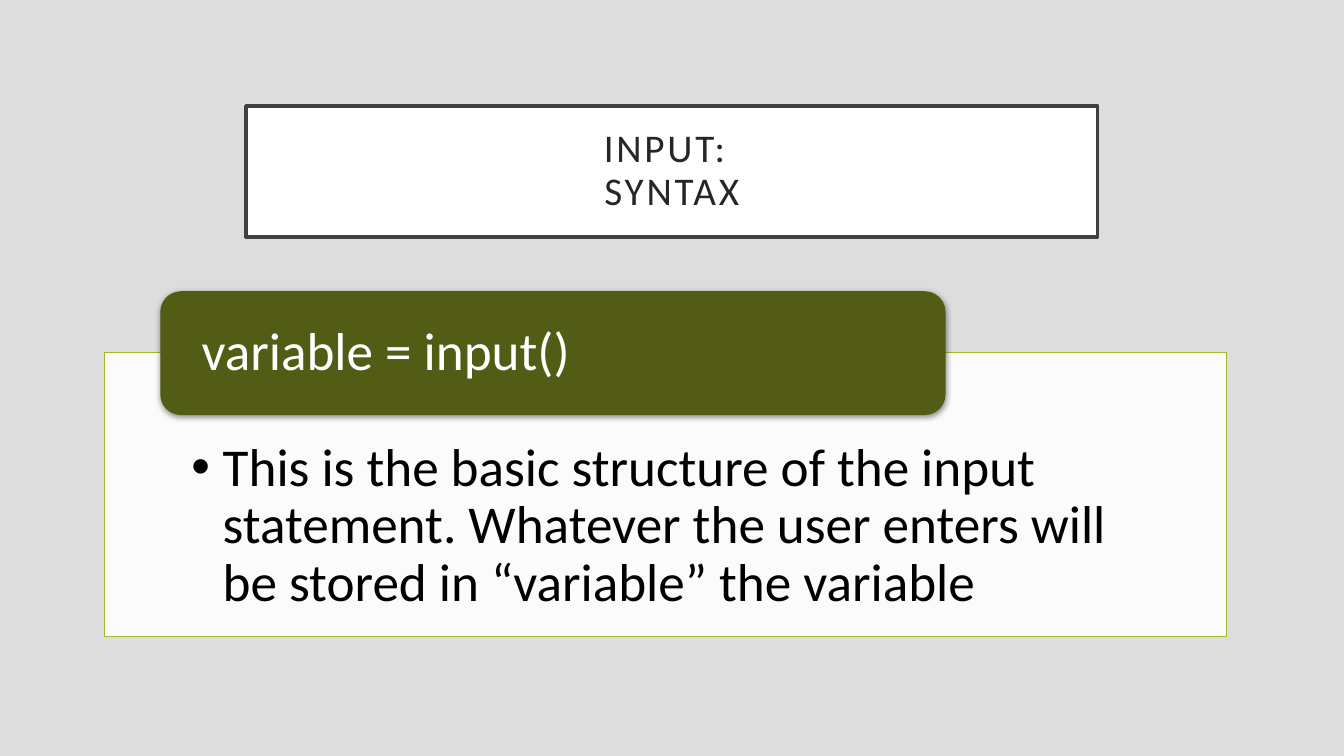
from dataclasses import dataclass

from lxml import etree
from pptx import Presentation
from pptx.dml.color import RGBColor
from pptx.enum.shapes import MSO_SHAPE
from pptx.enum.text import MSO_ANCHOR, MSO_AUTO_SIZE, PP_ALIGN
from pptx.oxml.ns import qn
from pptx.util import Cm, Pt

ROUND = MSO_SHAPE.ROUNDED_RECTANGLE
TOP, MIDDLE = MSO_ANCHOR.TOP, MSO_ANCHOR.MIDDLE
LEFT, CENTER = PP_ALIGN.LEFT, PP_ALIGN.CENTER
NO_FIT = MSO_AUTO_SIZE.NONE


@dataclass(frozen=True)
class Theme:
    font: str = "Calibri"
    title_size: int = 28
    text_size: int = 38
    back: str = "DDDDDD"
    white: str = "FFFFFF"
    black: str = "000000"
    ink: str = "262626"
    frame: str = "404040"
    lime: str = "A6B727"
    olive: str = "535C14"


def add_node(parent, tag, **attrs):
    return etree.SubElement(parent, qn(tag), attrs)


class Deck:
    def __init__(self, theme):
        self.theme = theme
        self.show = Presentation()
        self.show.slide_width, self.show.slide_height = Cm(33.87), Cm(19.05)
        self.slide = self.show.slides.add_slide(self.show.slide_layouts[1])
        self.paint(self.slide.background.fill, theme.back)

    def paint(self, fill, color):
        fill.solid()
        fill.fore_color.rgb = RGBColor.from_string(color)

    def place(self, shape, box):
        shape.left, shape.top, shape.width, shape.height = map(Cm, box)

    def outline(self, shape, color, width):
        self.paint(shape.line.fill, color)
        shape.line.width = Pt(width)

    def set_text(self, shape, text, size, color, insets, anchor, align=LEFT):
        """Fill a shape with one paragraph; insets run left, top, right, bottom."""
        frame = shape.text_frame
        frame.text = text
        frame.word_wrap = True
        frame.auto_size = NO_FIT
        frame.vertical_anchor = anchor
        (frame.margin_left, frame.margin_top,
         frame.margin_right, frame.margin_bottom) = map(Cm, insets)
        para = frame.paragraphs[0]
        para.alignment = align
        para.line_spacing = 0.9
        para.space_before = Pt(0)
        for run in para.runs:
            run.font.name = self.theme.font
            run.font.size = Pt(size)
            run.font.bold = False
            run.font.color.rgb = RGBColor.from_string(color)
        return para

    def title(self, text, box):
        theme, shape = self.theme, self.slide.shapes.title
        self.place(shape, box)
        self.paint(shape.fill, theme.white)
        self.outline(shape, theme.frame, 2.5)
        para = self.set_text(shape, text, theme.title_size, theme.ink,
                             [0.51] * 4, MIDDLE, CENTER)
        for run in para.runs:
            run.font._element.set("spc", "200")

    def panel(self, text, box):
        """Show a bulleted body on a slightly transparent panel."""
        theme, shape = self.theme, self.slide.placeholders[1]
        self.place(shape, box)
        self.paint(shape.fill, theme.white)
        tint = shape._element.spPr.find(qn("a:solidFill"))[0]
        add_node(tint, "a:alpha", val="90000")
        self.outline(shape, theme.lime, 0.5)
        para = self.set_text(shape, text, theme.text_size, theme.black,
                             (2.18, 2.21, 2.18, 0.76), TOP)
        para.level = 1
        props = para._p.get_or_add_pPr()
        props.set("marL", str(Cm(0.79)))
        props.set("indent", str(-Cm(0.79)))
        add_node(props, "a:buFont", typeface="Arial")
        add_node(props, "a:buChar", char="•")

    def label(self, text, box):
        """Add a rounded heading with a soft shadow."""
        theme = self.theme
        shape = self.slide.shapes.add_shape(ROUND, *map(Cm, box))
        self.paint(shape.fill, theme.olive)
        shape.line.fill.background()
        shape.shadow.inherit = False
        effects = shape._element.spPr.find(qn("a:effectLst"))
        shadow = add_node(effects, "a:outerShdw", blurRad=str(Pt(4.4)),
                          dist=str(Pt(1.2)), dir="5400000", rotWithShape="0")
        shade = add_node(shadow, "a:srgbClr", val=theme.black)
        add_node(shade, "a:alpha", val="45000")
        self.set_text(shape, text, theme.text_size, theme.white,
                      (0.89, 0, 0.89, 0), MIDDLE)


def main():
    deck = Deck(Theme())
    deck.title("INPUT: \vSYNTAX", (6.2, 2.67, 21.46, 3.3))
    deck.panel("This is the basic structure of the input statement. Whatever "
               "the user enters will be stored in “variable” the variable",
               (2.64, 8.89, 28.27, 7.14))
    deck.label("variable = input()", (4.04, 7.34, 19.79, 3.12))
    deck.show.save("out.pptx")


if __name__ == "__main__":
    main()
